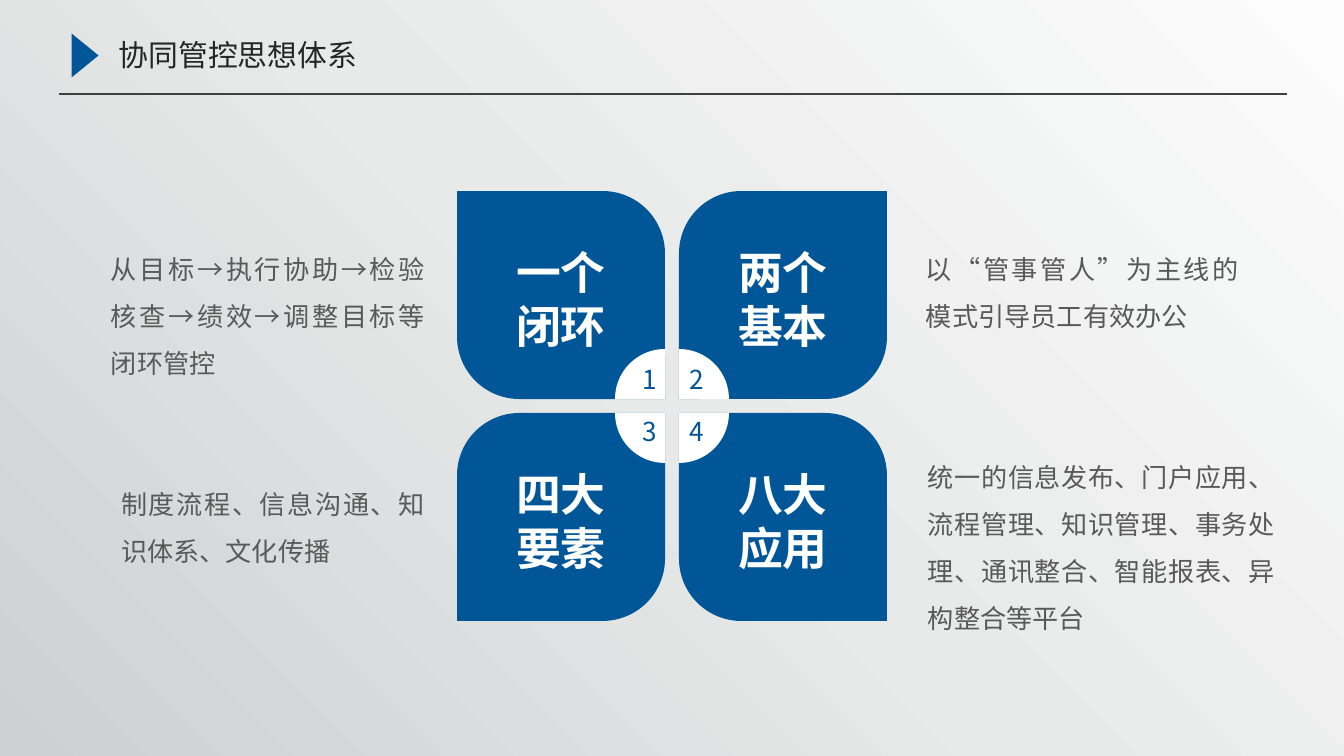
"""Build the slide on the four-petal management system."""
from copy import deepcopy
from math import cos, pi, sin
from pptx import Presentation
from pptx.dml.color import RGBColor as Rgb
from pptx.enum.shapes import MSO_CONNECTOR as Link, MSO_SHAPE as Form
from pptx.enum.text import MSO_AUTO_SIZE as Auto, PP_ALIGN as Align
from pptx.oxml.ns import qn
from pptx.util import Pt

PX = 914400 / 134.4
WIDE, HIGH = 1344, 756
FONT = "Noto Sans CJK SC"
HUE = {"blue": "005696", "white": "FFFFFF", "line": "404040",
       "title": "262626", "body": "595959",
       "dark": "CCD0D1", "mid": "E8EAE9", "light": "FCFCFC"}
LEFT, TOP, SIDE, STEP = 457, 191, 208, 222
ROUND, DISC = 0.3, 50
HEADS = ["一个闭环", "两个基本", "四大要素", "八大应用"]
NOTES = [
    (111, 238, 314, 142, "从目标→执行协助→检验核查→绩效→调整目标等闭环管控"),
    (926, 238, 313, 95, "以“管事管人”为主线的模式引导员工有效办公"),
    (121, 473, 304, 95, "制度流程、信息沟通、知识体系、文化传播"),
    (928, 446, 347, 190, "统一的信息发布、门户应用、流程管理、知识管理、事务处理、"
                         "通讯整合、智能报表、异构整合等平台"),
]


def emu(*vals):
    return [round(v * PX) for v in vals]


def tint(name):
    return Rgb.from_string(HUE[name])


def paint(shape, hue):
    shape.shadow.inherit = False
    shape.fill.solid()
    shape.fill.fore_color.rgb = tint(hue)
    shape.line.fill.background()


def block(slide, form, box, hue):
    shape = slide.shapes.add_shape(form, *emu(*box))
    paint(shape, hue)
    return shape


def wash(slide):
    shape = block(slide, Form.RECTANGLE, (0, 0, WIDE, HIGH), "white")
    fill = shape.fill
    fill.gradient()
    fill.gradient_angle = 45
    stops = shape._element.spPr.find(qn("a:gradFill")).find(qn("a:gsLst"))
    stops.insert(1, deepcopy(stops[0]))
    marks = [(0, "dark"), (0.49, "mid"), (1, "light")]
    for stop, (pos, hue) in zip(fill.gradient_stops, marks):
        stop.position = pos
        stop.color.rgb = tint(hue)


def rule(slide, x, y, end):
    line = slide.shapes.add_connector(Link.STRAIGHT, *emu(x, y, end, y))
    line.line.color.rgb = tint("line")
    line.line.width = Pt(0.75)
    props = line._element.spPr
    props.append(props.makeelement(qn("a:effectLst"), {}))


def label(slide, box, text, size, hue, align=Align.LEFT,
          inset=(0, 0, 0, 0), space=None, bold=False):
    shape = slide.shapes.add_textbox(*emu(*box))
    frame = shape.text_frame
    frame.word_wrap = True
    frame.auto_size = Auto.SHAPE_TO_FIT_TEXT
    (frame.margin_left, frame.margin_top,
     frame.margin_right, frame.margin_bottom) = emu(*inset)
    para = frame.paragraphs[0]
    para.alignment = align
    if space:
        para.line_spacing = space
    run = para.add_run()
    run.text = text
    font = run.font
    font.size, font.bold, font.name = Pt(size), bold, FONT
    font.color.rgb = tint(hue)
    east = font._element.makeelement(qn("a:ea"), {"typeface": FONT})
    font._element.find(qn("a:latin")).addnext(east)


def disc(slide, x, y, dx, dy):
    turns = [pi / 2 * i / 24 for i in range(25)]
    arc = [emu(x + dx * DISC * cos(t), y + dy * DISC * sin(t)) for t in turns]
    pen = slide.shapes.build_freeform(*emu(x, y))
    pen.add_line_segments(arc, close=True)
    paint(pen.convert_to_shape(), "white")


def petal(slide, i, head):
    row, col = divmod(i, 2)
    x, y = LEFT + col * STEP, TOP + row * STEP
    leaf = block(slide, Form.ROUND_2_DIAG_RECTANGLE, (x, y, SIDE, SIDE), "blue")
    odd = row != col
    leaf.adjustments[0] = ROUND if odd else 0
    leaf.adjustments[1] = 0 if odd else ROUND
    disc(slide, x + SIDE * (1 - col), y + SIDE * (1 - row),
         2 * col - 1, 2 * row - 1)
    label(slide, (640 + 47 * col, 363 + 52 * row, 17, 32), str(i + 1),
          14, "blue", Align.RIGHT)
    label(slide, (x + 40, y + 47, 128, 116), head, 24, "white",
          Align.CENTER, (0, 7, 0, 0), bold=True)


def main():
    deck = Presentation()
    deck.slide_width, deck.slide_height = emu(WIDE, HIGH)
    slide = deck.slides.add_slide(deck.slide_layouts[6])
    wash(slide)
    rule(slide, 59, 94, 1287)
    block(slide, Form.ISOSCELES_TRIANGLE, (63, 42, 44, 27), "blue").rotation = 90
    label(slide, (109, 32, 292, 46), "协同管控思想体系", 16, "title",
          inset=(10, 5, 10, 5))
    for i, head in enumerate(HEADS):
        petal(slide, i, head)
    for *box, text in NOTES:
        label(slide, box, text, 14, "body", Align.JUSTIFY, space=1.5)
    deck.save("out.pptx")


if __name__ == "__main__":
    main()
